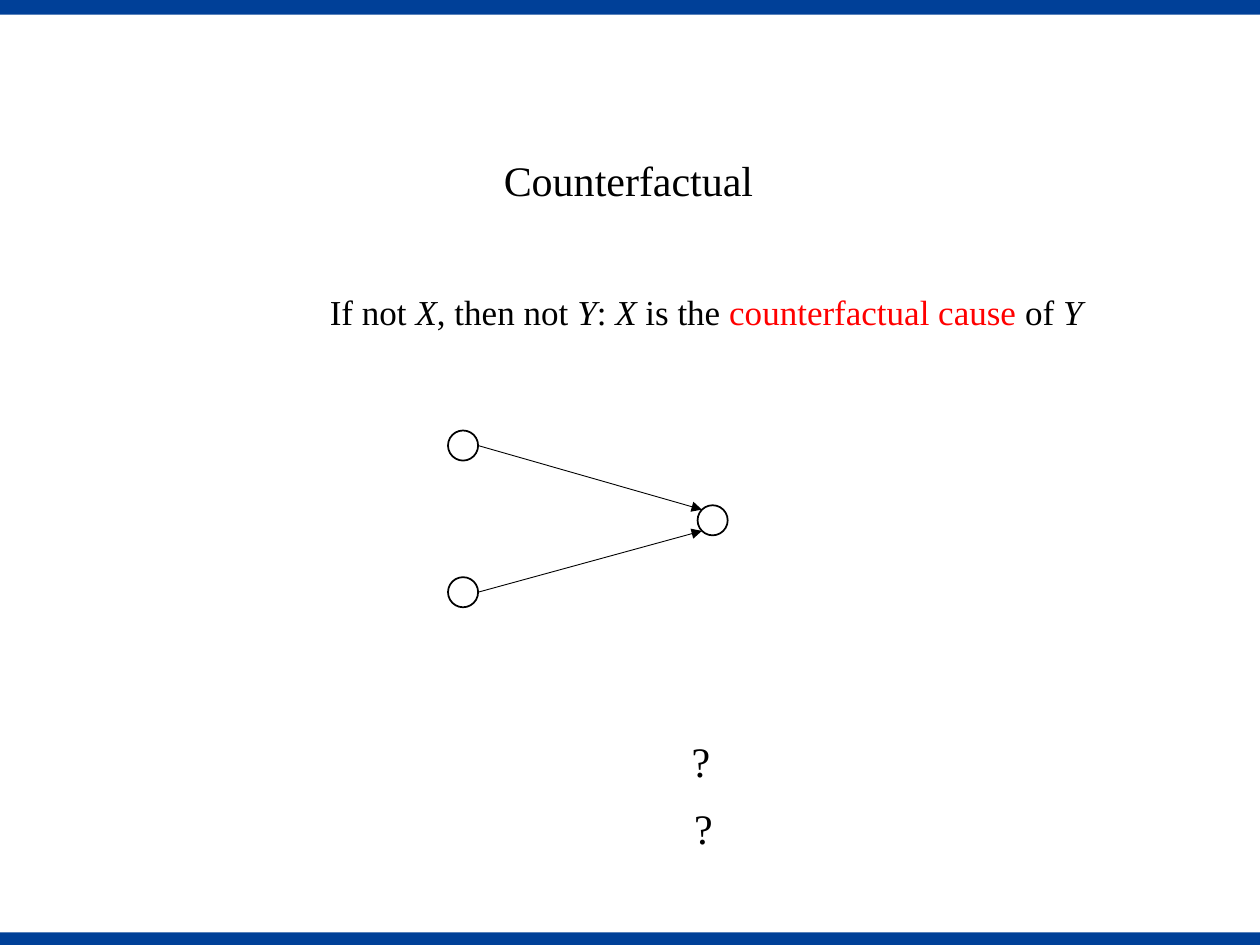
from dataclasses import dataclass
from math import sqrt

from lxml import etree
from pptx import Presentation
from pptx.dml.color import RGBColor
from pptx.enum.shapes import MSO_CONNECTOR, MSO_SHAPE
from pptx.enum.text import MSO_AUTO_SIZE
from pptx.oxml.ns import qn
from pptx.util import Pt

OVAL, RECTANGLE = MSO_SHAPE.OVAL, MSO_SHAPE.RECTANGLE
STRAIGHT = MSO_CONNECTOR.STRAIGHT
FIT_SHAPE = MSO_AUTO_SIZE.SHAPE_TO_FIT_TEXT


@dataclass(frozen=True)
class Theme:
    font: str = "Times New Roman"
    band: RGBColor = RGBColor(0x00, 0x40, 0x98)
    ink: RGBColor = RGBColor(0, 0, 0)
    accent: RGBColor = RGBColor(0xFF, 0, 0)
    heading_size: int = 24
    body_size: int = 20
    node_line: float = 1
    arrow_line: float = 0.5


THEME = Theme()
SLIDE_WIDTH, SLIDE_HEIGHT = 720, 540
NODE = 17.2

DEFINITION = [
    ("If not ", {}),
    ("X", {"italic": True}),
    (", then not ", {}),
    ("Y", {"italic": True}),
    (": ", {}),
    ("X", {"italic": True}),
    (" is the ", {}),
    ("counterfactual cause", {"color": THEME.accent}),
    (" of ", {}),
    ("Y", {"italic": True}),
]


def add_band(slide, box):
    band = slide.shapes.add_shape(RECTANGLE, *map(Pt, box))
    band.shadow.inherit = False
    band.fill.solid()
    band.fill.fore_color.rgb = THEME.band
    band.line.fill.background()


def add_text(slide, box, runs, size, wrap=False):
    """Place one line of text; each run is a string with its own format values."""
    frame = slide.shapes.add_textbox(*map(Pt, box)).text_frame
    frame.word_wrap = wrap
    frame.auto_size = FIT_SHAPE
    for text, formats in runs:
        run = frame.paragraphs[0].add_run()
        run.text = text
        values = {"name": THEME.font, "size": Pt(size), **formats}
        run.font.color.rgb = values.pop("color", THEME.ink)
        for attribute, value in values.items():
            setattr(run.font, attribute, value)


def add_node(shapes, left, top):
    node = shapes.add_shape(OVAL, Pt(left), Pt(top), Pt(NODE), Pt(NODE))
    node.shadow.inherit = False
    node.fill.background()
    node.line.color.rgb = THEME.ink
    node.line.width = Pt(THEME.node_line)


def add_arrow(shapes, start, end):
    arrow = shapes.add_connector(STRAIGHT, *map(Pt, (*start, *end)))
    arrow.line.color.rgb = THEME.ink
    arrow.line.width = Pt(THEME.arrow_line)
    etree.SubElement(arrow.line._get_or_add_ln(), qn("a:tailEnd"), type="triangle")
    etree.SubElement(arrow._element.spPr, qn("a:effectLst"))


def add_causal_diagram(slide, box):
    """Two causes at the left of the box point to one effect at its right."""
    left, top, width, height = box
    shapes = slide.shapes.add_group_shape().shapes
    radius = NODE / 2
    rim = radius / sqrt(2)
    effect_left, effect_top = left + width - NODE, top + (height - NODE) / 2 + 0.8
    effect_x, effect_y = effect_left + radius, effect_top + radius
    cause_tops = (top, top + height - NODE)

    for node_left, node_top in [*((left, y) for y in cause_tops), (effect_left, effect_top)]:
        add_node(shapes, node_left, node_top)
    for cause_top, side in zip(cause_tops, (-1, 1)):
        add_arrow(shapes, (left + NODE, cause_top + radius),
                  (effect_x - rim, effect_y + side * rim))


def build_slide(slide):
    add_band(slide, (0, 532.8, SLIDE_WIDTH, 7.2))
    add_band(slide, (0, 0, SLIDE_WIDTH, 8.4))
    add_causal_diagram(slide, (256, 246, 159.8, 101))
    add_text(slide, (181.4, 162.7, 500.4, 31.7), DEFINITION, THEME.body_size, wrap=True)
    add_text(slide, (280.8, 85, 158.4, 36), [("Counterfactual", {})], THEME.heading_size)
    for left, top in ((388.1, 416.9), (389.5, 455)):
        add_text(slide, (left, top, 25.2, 36), [("?", {})], THEME.heading_size)


def main():
    deck = Presentation()
    deck.slide_width, deck.slide_height = Pt(SLIDE_WIDTH), Pt(SLIDE_HEIGHT)
    build_slide(deck.slides.add_slide(deck.slide_layouts[6]))
    deck.save("out.pptx")


if __name__ == "__main__":
    main()
